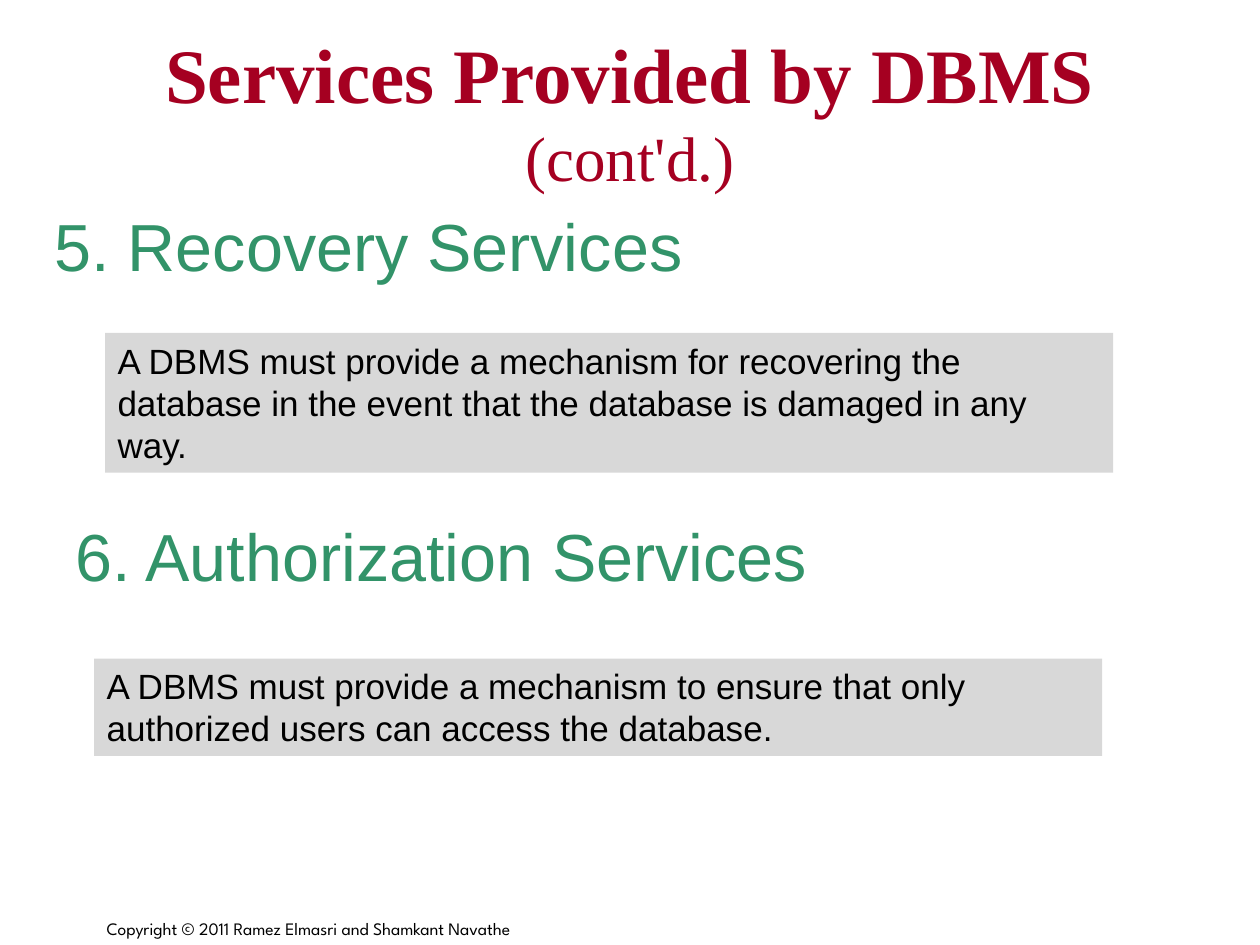
from pptx import Presentation
from pptx.dml.color import RGBColor
from pptx.enum.shapes import MSO_SHAPE
from pptx.enum.text import MSO_ANCHOR, PP_ALIGN
from pptx.util import Cm, Pt

TITLE = {"name": "Times New Roman", "size": Pt(44), "bold": True}
TITLE_SUFFIX = {"name": "Times New Roman", "size": Pt(36), "bold": False}
HEADING = {"name": "Arial", "size": Pt(38)}
BODY = {"name": "Arial", "size": Pt(20)}
FOOTER = {"name": "League Spartan", "size": Pt(10)}

RED, GREEN, BLACK, GREY = "A50021", "329369", "000000", "D8D8D8"


def set_color(color_format, hex_color):
    color_format.rgb = RGBColor.from_string(hex_color)


def add_run(paragraph, text, font_format, hex_color):
    run = paragraph.add_run()
    run.text = text
    for attribute, value in font_format.items():
        setattr(run.font, attribute, value)
    set_color(run.font.color, hex_color)


def fill_frame(frame, runs, hex_color, align=PP_ALIGN.LEFT, anchor=MSO_ANCHOR.TOP):
    frame.word_wrap = True
    frame.vertical_anchor = anchor
    paragraph = frame.paragraphs[0]
    paragraph.alignment = align
    for text, font_format in runs:
        add_run(paragraph, text, font_format, hex_color)


def add_label(slide, box, runs, hex_color, **layout):
    label = slide.shapes.add_textbox(*map(Cm, box))
    fill_frame(label.text_frame, runs, hex_color, **layout)
    return label.text_frame


def add_definition(slide, box, text):
    panel = slide.shapes.add_shape(MSO_SHAPE.RECTANGLE, *map(Cm, box))
    panel.shadow.inherit = False
    panel.fill.solid()
    set_color(panel.fill.fore_color, GREY)
    panel.line.fill.background()
    fill_frame(panel.text_frame, [(text, BODY)], BLACK)


def add_service(slide, heading, heading_box, definition, definition_box):
    add_label(slide, heading_box, [(heading, HEADING)], GREEN)
    add_definition(slide, definition_box, definition)


def main():
    deck = Presentation()
    deck.slide_width, deck.slide_height = Cm(25.4), Cm(19.05)
    slide = deck.slides.add_slide(deck.slide_layouts[6])

    # Footer
    add_label(slide, (1.9, 18.21, 18.19, 0.84),
              [("Copyright © 2011 Ramez Elmasri and Shamkant Navathe", FOOTER)],
              BLACK, anchor=MSO_ANCHOR.BOTTOM)

    # Title
    title = add_label(slide, (1.27, 0.64, 22.86, 3.18),
                      [("Services Provided by DBMS ", TITLE), ("(cont'd.)", TITLE_SUFFIX)],
                      RED, align=PP_ALIGN.CENTER, anchor=MSO_ANCHOR.MIDDLE)
    for side in ("left", "top", "right", "bottom"):
        setattr(title, f"margin_{side}", 0)

    # Services with their definitions
    add_service(slide, "5. Recovery Services", (0.84, 4.01, 23.06, 3.07),
                "A DBMS must provide a mechanism for recovering the database "
                "in the event that the database is damaged in any way.",
                (2.12, 6.71, 20.32, 2.82))
    add_service(slide, "6. Authorization Services", (1.27, 10.26, 21.79, 1.88),
                "A DBMS must provide a mechanism to ensure that only "
                "authorized users can access the database.",
                (1.9, 13.28, 20.32, 1.96))

    deck.save("out.pptx")


if __name__ == "__main__":
    main()
